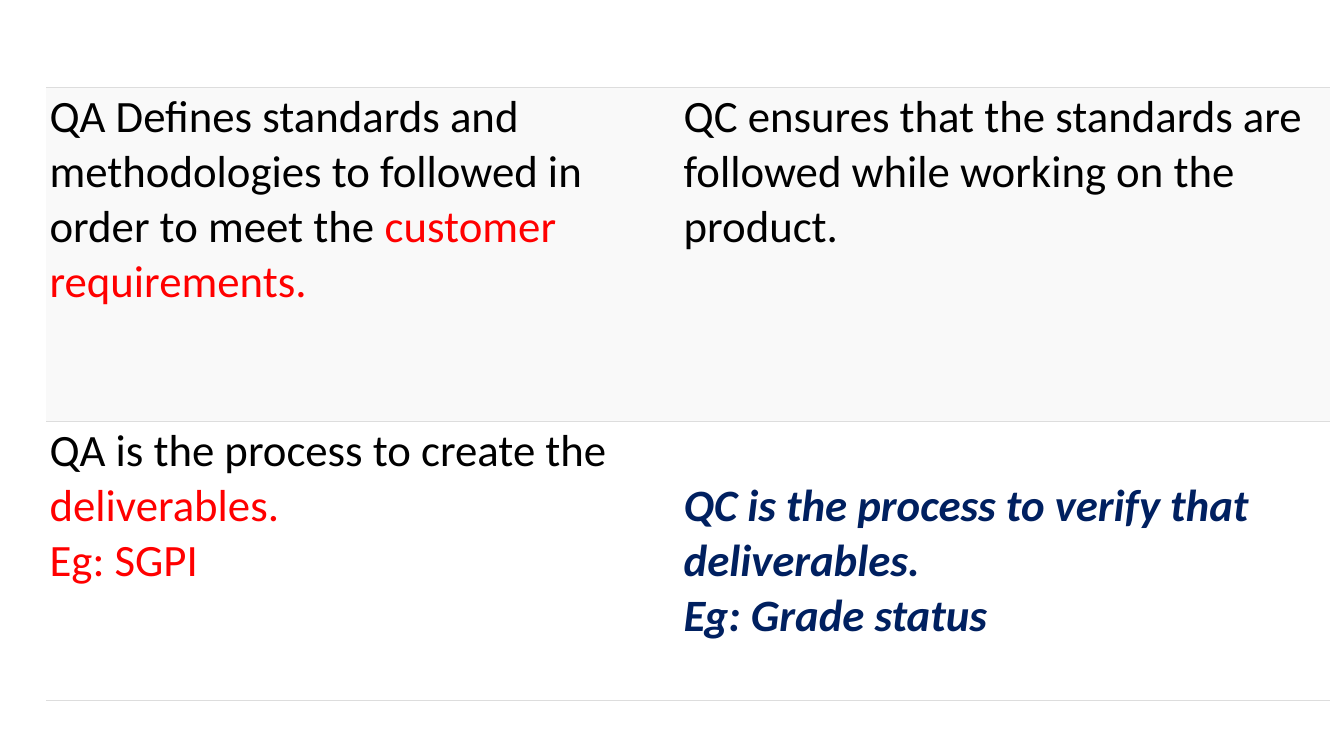
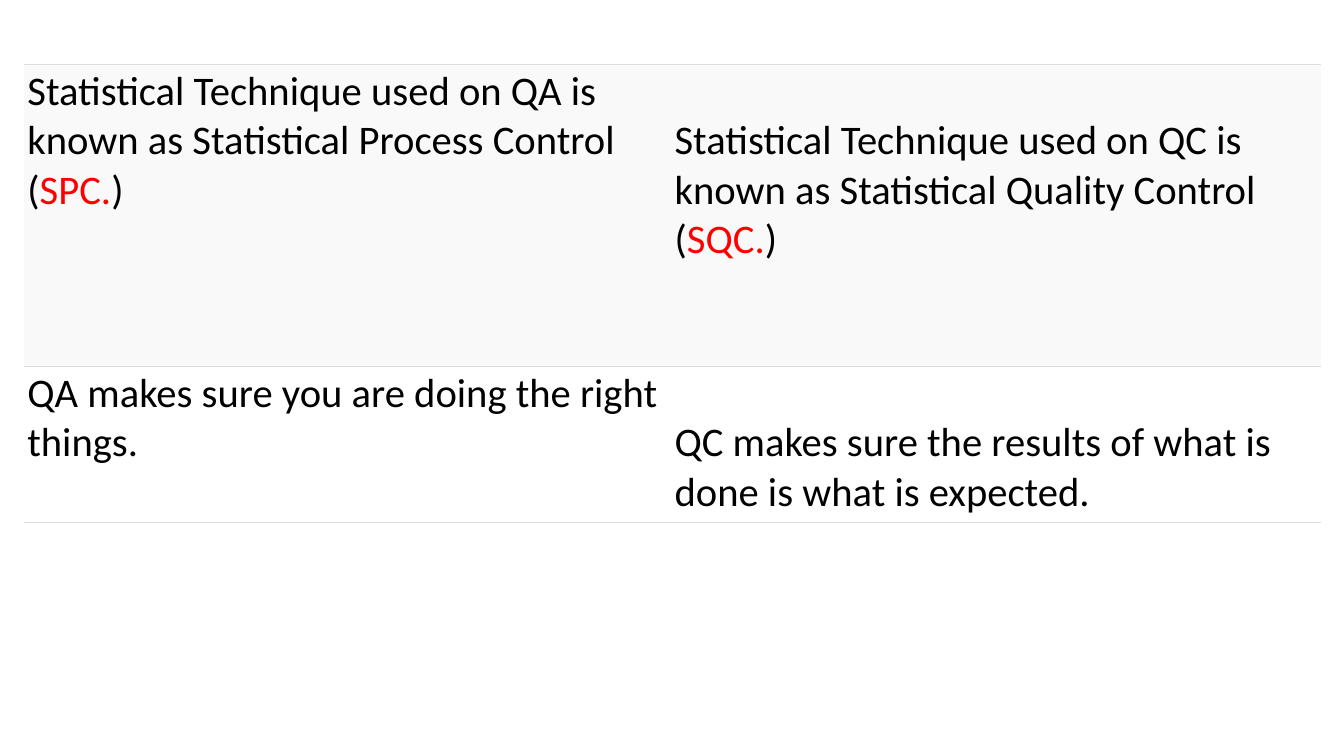
from lxml import etree
from pptx import Presentation
from pptx.dml.color import RGBColor
from pptx.oxml.ns import qn
from pptx.util import Cm, Pt

# Shared look
FONT = "Calibri"
BLACK, RED, NAVY = "000000", "FF0000", "002060"
ROW_FILLS = ("F9F9F9", "FFFFFF")
RULE_COLOR, RULE_WIDTH = "DDDDDD", Pt(0.6)
SIDE_MARGIN = Cm(0.08)
LINE_SPACING = 1.22  # line height of the font, relative to its size
BLANK_LAYOUT = 6


def rgb(value):
    return RGBColor.from_string(value)


def draw_borders(cell):
    """Rule a cell above and below, and leave its sides open."""
    properties = cell._tc.get_or_add_tcPr()
    for index, side in enumerate(("lnL", "lnR", "lnT", "lnB")):
        line = etree.Element(qn(f"a:{side}"), w=str(int(RULE_WIDTH)))
        if side in ("lnT", "lnB"):
            fill = etree.SubElement(line, qn("a:solidFill"))
            etree.SubElement(fill, qn("a:srgbClr"), val=RULE_COLOR)
        else:
            etree.SubElement(line, qn("a:noFill"))
        properties.insert(index, line)


def write_paragraph(paragraph, pieces, size):
    """Write (text, colour, emphasised) pieces as runs."""
    for text, color, emphasised in pieces:
        run = paragraph.add_run()
        run.text = text
        font = run.font
        font.name, font.size = FONT, Pt(size)
        font.color.rgb = rgb(color)
        font.bold = font.italic = emphasised


def fill_cell(cell, paragraphs, fill, size, margin, lowered):
    """Format a cell; a lowered one starts one text line further down."""
    cell.fill.solid()
    cell.fill.fore_color.rgb = rgb(fill)
    draw_borders(cell)
    cell.margin_left = cell.margin_right = SIDE_MARGIN
    cell.margin_top = cell.margin_bottom = margin
    if lowered:
        cell.margin_top = margin + Pt(size * LINE_SPACING)
    frame = cell.text_frame
    for index, pieces in enumerate(paragraphs):
        paragraph = frame.add_paragraph() if index else frame.paragraphs[0]
        write_paragraph(paragraph, pieces, size)


def add_comparison(presentation, left, top, widths, heights, size, margin,
                   rows, lowered):
    """Add a slide with a QA / QC table; lowered holds (row, column) pairs."""
    slide = presentation.slides.add_slide(
        presentation.slide_layouts[BLANK_LAYOUT])
    table = slide.shapes.add_table(
        len(rows), len(widths), Cm(left), Cm(top),
        Cm(sum(widths)), Cm(sum(heights))).table
    table.first_row = table.horz_banding = False
    for column, width in zip(table.columns, widths):
        column.width = Cm(width)
    for row_index, (height, contents) in enumerate(zip(heights, rows)):
        table.rows[row_index].height = Cm(height)
        for column_index, paragraphs in enumerate(contents):
            fill_cell(table.cell(row_index, column_index), paragraphs,
                      ROW_FILLS[row_index], size, margin,
                      (row_index, column_index) in lowered)


def plain(text, color=BLACK):
    return (text, color, False)


def strong(text):
    return (text, NAVY, True)


def technique(area, method, short_name):
    """One paragraph that names the statistical technique of an area."""
    return [[plain(f"Statistical Technique used on {area} is known as "
                   f"Statistical {method} Control ("),
             plain(short_name, RED), plain(")")]]


def main():
    presentation = Presentation()
    presentation.slide_width, presentation.slide_height = Cm(33.87), Cm(19.05)

    # Slide 1: standards and deliverables
    add_comparison(
        presentation, left=1.17, top=2.19, widths=(15.98, 16.36),
        heights=(8.42, 7.03), size=32, margin=Cm(0.08),
        rows=[
            ([[plain("QA Defines standards and methodologies to followed in "
                     "order to meet the "),
               plain("customer requirements.", RED)]],
             [[plain("QC ensures that the standards are followed while "
                     "working on the product.")]]),
            ([[plain("QA is the process to create the "),
               plain("deliverables.", RED)],
              [plain("Eg: SGPI", RED)]],
             [[strong("QC is the process to verify that deliverables.")],
              [strong("Eg: Grade status")]]),
        ],
        lowered={(1, 1)})

    # Slide 2: techniques and results
    add_comparison(
        presentation, left=0.61, top=1.63, widths=(16.31, 16.36),
        heights=(7.61, 3.93), size=29, margin=Cm(0.05),
        rows=[
            (technique("QA", "Process", "SPC."),
             technique("QC", "Quality", "SQC.")),
            ([[plain("QA makes sure you are doing the right things.")]],
             [[plain("QC makes sure the results of what is done is what is "
                     "expected.")]]),
        ],
        lowered={(0, 1), (1, 1)})

    presentation.save("out.pptx")


if __name__ == "__main__":
    main()
